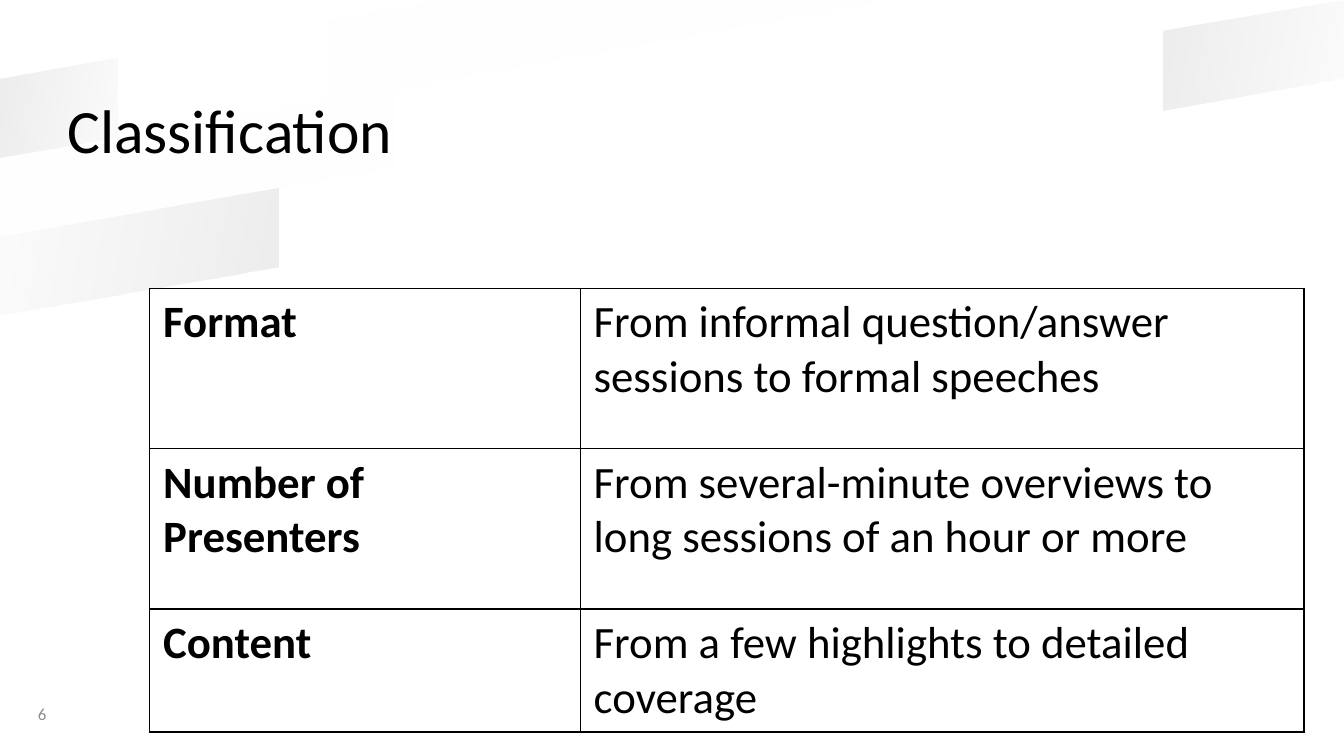
import pptx
import pptx.util
import pptx.dml.color
import pptx.enum.text
import pptx.oxml
import pptx.oxml.ns

Pt = pptx.util.Pt
Anchor = pptx.enum.text.MSO_ANCHOR
Align = pptx.enum.text.PP_ALIGN
qn = pptx.oxml.ns.qn

# Band outlines in points, with (colour, opacity at start, opacity at end)
BANDS = [
    ([(318, 0), (234, 15), (234, 71.5), (638.5, 0)], ("FFFFFF", 12, 5)),
    ([(0, 56), (0, 112.5), (84, 98), (84, 41)], ("00001A", 8, 2)),
    ([(0, 169), (0, 225.5), (199, 191), (199, 134)], ("00001A", 2, 8)),
    ([(960, 0), (831, 22), (831, 79), (960, 56)], ("00001A", 8, 2)),
    ([(0, 112.5), (0, 169), (281.5, 119.5), (281.5, 63)], ("FFFFFF", 12, 5)),
]

ROWS = [
    ("Format", "From informal question/answer sessions to formal speeches"),
    ("Number of Presenters",
     "From several-minute overviews to long sessions of an hour or more"),
    ("Content", "From a few highlights to detailed coverage"),
]


def rgb(color):
    return pptx.dml.color.RGBColor.from_string(color)


def set_text(tf, text, size, color="000000", bold=False, spacing=None):
    p = tf.paragraphs[0]
    p.alignment = Align.LEFT
    p.line_spacing = spacing
    r = p.add_run()
    r.text = text
    r.font.name = "Calibri"
    r.font.size = Pt(size)
    r.font.bold = bold
    r.font.color.rgb = rgb(color)


def set_frame(tf, anchor):
    tf.word_wrap = True
    tf.auto_size = pptx.enum.text.MSO_AUTO_SIZE.NONE
    tf.vertical_anchor = anchor
    tf.margin_left = tf.margin_top = tf.margin_right = tf.margin_bottom = 0


def add_band(s, points, color, *opacities):
    points = [(Pt(x), Pt(y)) for x, y in points]
    builder = s.shapes.build_freeform(*points[0])
    builder.add_line_segments(points[1:], close=True)
    sp = builder.convert_to_shape()
    sp.shadow.inherit = False
    sp.line.fill.background()
    sp.fill.gradient()
    sp.fill.gradient_angle = 350
    for stop, opacity in zip(sp.fill.gradient_stops, opacities):
        stop.color.rgb = rgb(color)
    # Opacity of each gradient stop
    for clr, opacity in zip(sp.element.spPr.iter(qn("a:srgbClr")), opacities):
        alpha = pptx.oxml.parse_xml(
            f'<a:alpha {pptx.oxml.ns.nsdecls("a")} val="{opacity * 1000}"/>')
        clr.append(alpha)


def add_title(s, text):
    sp = s.shapes.title
    sp.left, sp.top, sp.width, sp.height = Pt(48), Pt(0), Pt(576), Pt(191)
    set_frame(sp.text_frame, Anchor.MIDDLE)
    set_text(sp.text_frame, text, 44, spacing=0.9)
    # Bring the title in front of the bands
    sp.element.getparent().append(sp.element)


def add_page_number(s, text):
    sp = s.shapes.add_textbox(Pt(27), Pt(491), Pt(50), Pt(26))
    set_frame(sp.text_frame, Anchor.BOTTOM)
    set_text(sp.text_frame, text, 12, color="8C8C8C")


def set_borders(cell, color="000000", width=1):
    tcPr = cell._tc.get_or_add_tcPr()
    for i, side in enumerate(("lnL", "lnR", "lnT", "lnB")):
        tcPr.insert(i, pptx.oxml.parse_xml(
            f'<a:{side} {pptx.oxml.ns.nsdecls("a")} w="{Pt(width)}">'
            f'<a:solidFill><a:srgbClr val="{color}"/></a:solidFill></a:{side}>'))


def add_table(s, rows):
    widths, heights = (307.5, 517), (114.5, 114.5, 86.5)
    table = s.shapes.add_table(len(rows), len(widths), Pt(107), Pt(206),
                               Pt(sum(widths)), Pt(sum(heights))).table
    table.first_row = table.horz_banding = False
    for col, width in zip(table.columns, widths):
        col.width = Pt(width)
    for i, texts in enumerate(rows):
        table.rows[i].height = Pt(heights[i])
        for j, text in enumerate(texts):
            cell = table.cell(i, j)
            cell.fill.background()
            cell.margin_left = cell.margin_right = Pt(9.6)
            cell.margin_top = cell.margin_bottom = Pt(4.8)
            set_text(cell.text_frame, text, 32, bold=j == 0)
            set_borders(cell)


def main():
    prs = pptx.Presentation()
    prs.slide_width, prs.slide_height = Pt(960), Pt(540)
    s = prs.slides.add_slide(prs.slide_layouts[5])

    # Background bands
    for points, shade in BANDS:
        add_band(s, points, *shade)

    # Content
    add_title(s, "Classification")
    add_page_number(s, "6")
    add_table(s, ROWS)
    prs.save("out.pptx")


if __name__ == "__main__":
    main()
